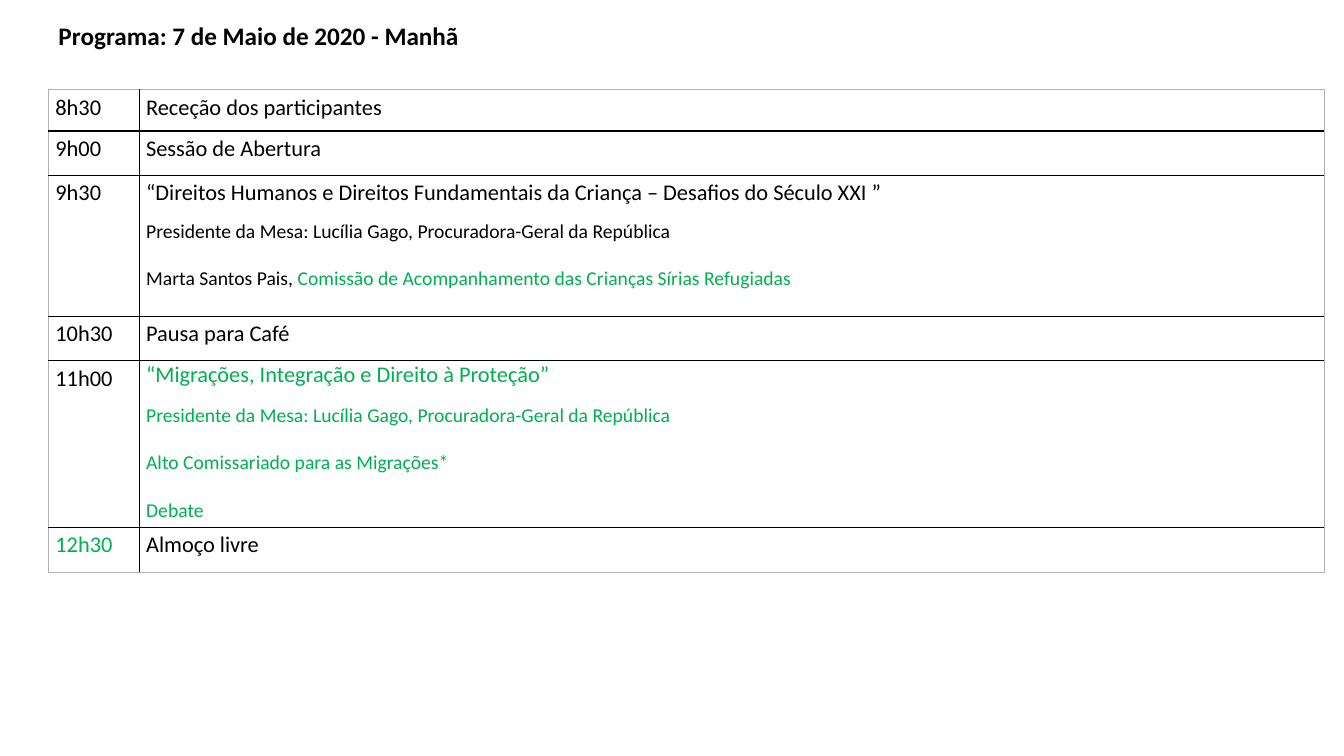
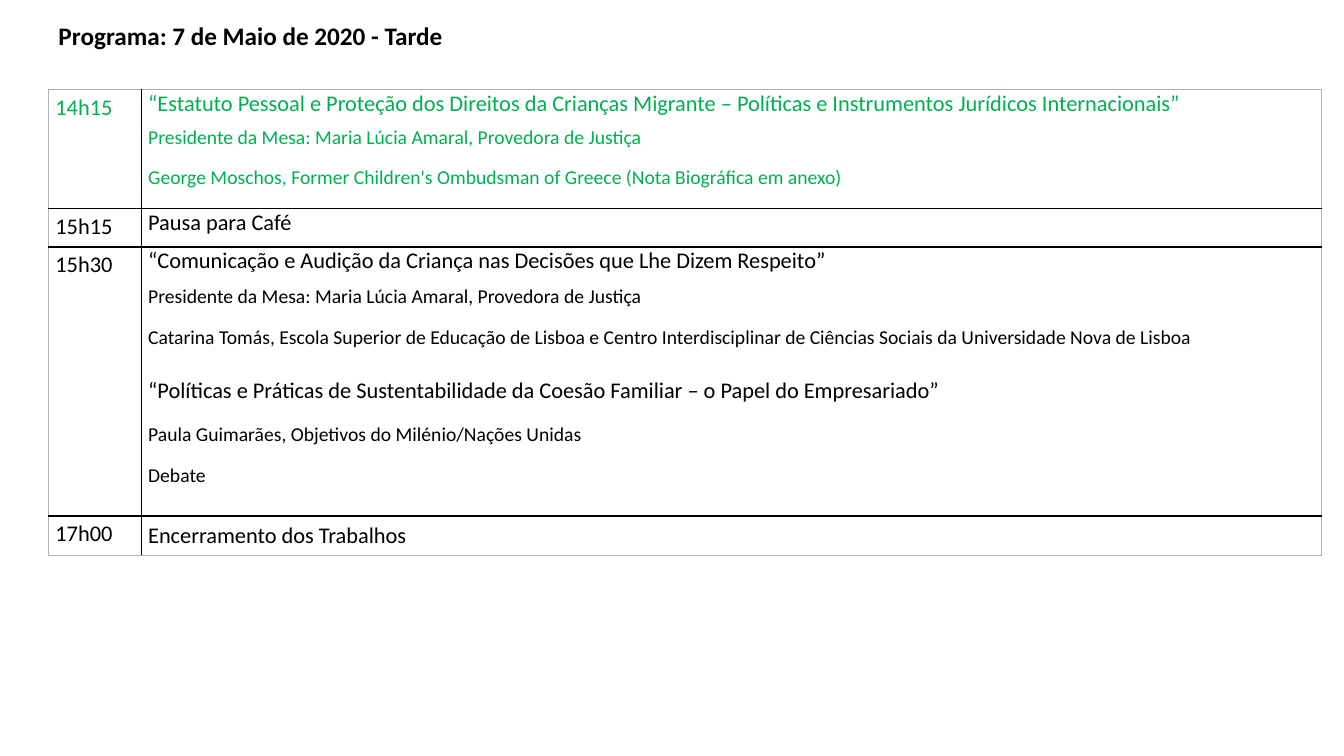
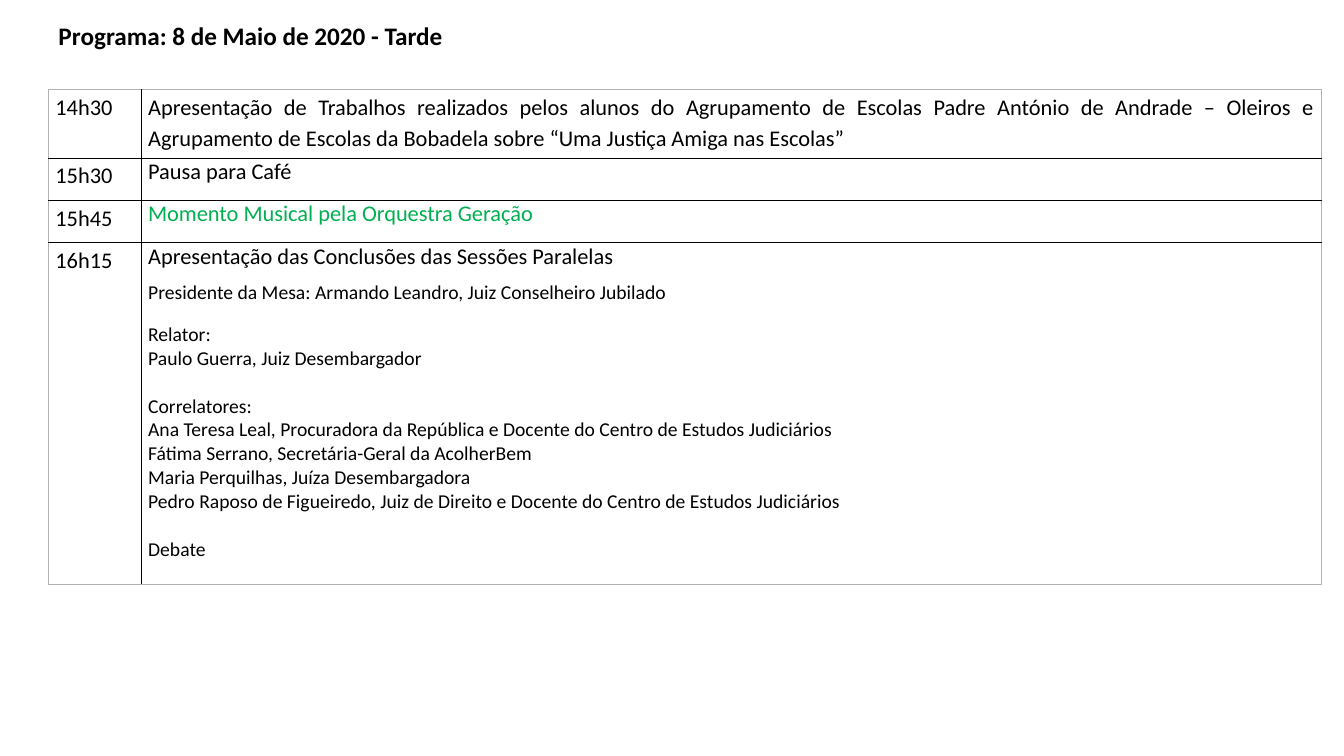
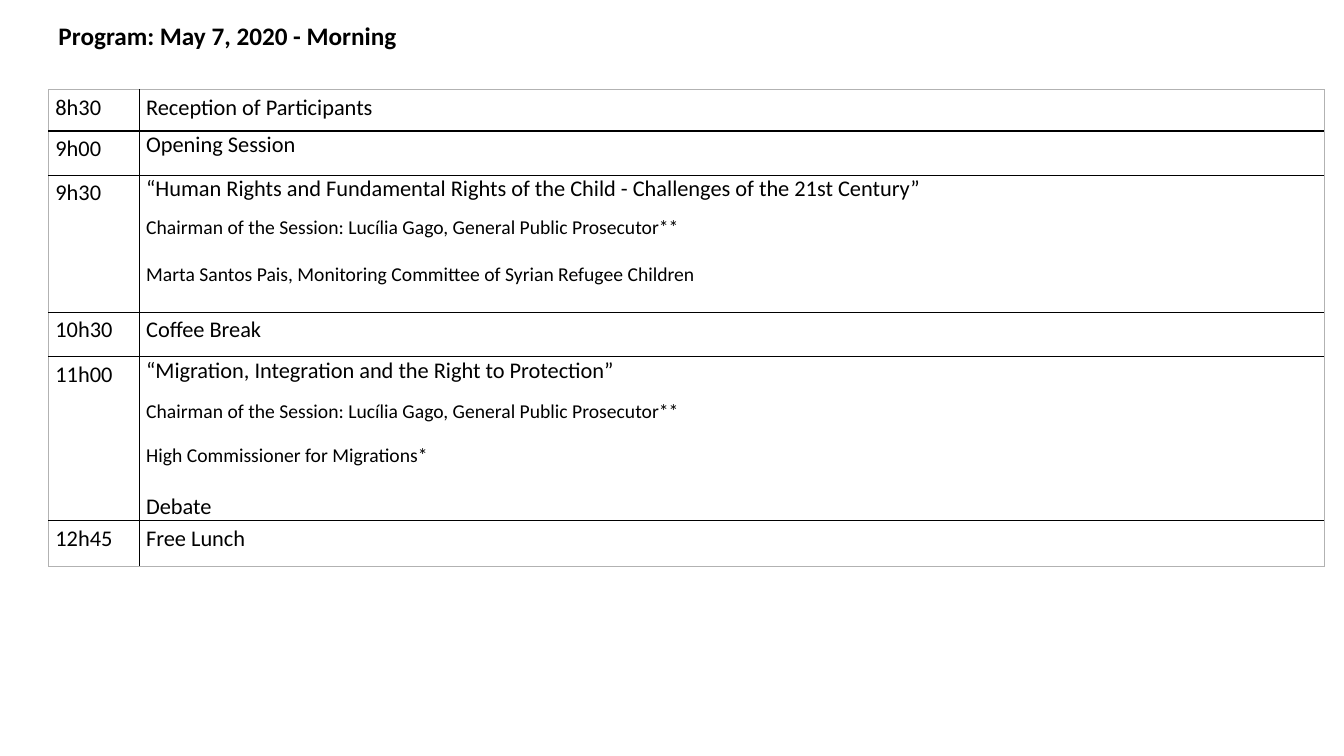
from dataclasses import dataclass

from lxml.etree import SubElement
from pptx import Presentation
from pptx.dml.color import RGBColor
from pptx.enum.text import MSO_ANCHOR, MSO_AUTO_SIZE, PP_ALIGN
from pptx.oxml.ns import qn
from pptx.util import Inches, Pt


@dataclass(frozen=True)
class Theme:
    font: str = "Calibri"
    ink: str = "000000"
    green: str = "00B050"
    paper: str = "FFFFFF"
    frame: str = "B2B2B2"
    title: float = 18
    topic: float = 16
    detail: float = 14
    rule: float = 1
    frame_rule: float = 0.5
    loose: float = 1.15


@dataclass(frozen=True)
class Box:
    left: float
    top: float
    width: float
    height: float = 0


@dataclass(frozen=True)
class Line:
    """One paragraph: gap is the space above it, loose means justified and wide-set."""
    text: str
    size: float
    gap: float = 0
    loose: bool = True
    color: str = Theme.ink
    green_tail: str = ""


@dataclass(frozen=True)
class Session:
    hour: str
    rows: int
    lines: tuple
    hour_color: str = Theme.ink
    anchor: MSO_ANCHOR = MSO_ANCHOR.TOP


THEME = Theme()
# The slide is a grid of 1333 columns and 750 rows
GRID_COLUMNS, GRID_ROWS = 1333, 750
SLIDE_WIDTH, SLIDE_HEIGHT = Inches(13.33), Inches(7.5)
TITLE_BOX = Box(48, 15, 700, 40)
CELL_INSET = 7


def across(columns):
    return round(SLIDE_WIDTH * columns / GRID_COLUMNS)


def down(rows):
    return round(SLIDE_HEIGHT * rows / GRID_ROWS)


def topic(text, gap=0, **style):
    return Line(text, THEME.topic, gap, **style)


def detail(text, gap=0, **style):
    return Line(text, THEME.detail, gap, **style)


def style_font(font, size, color, bold=False):
    font.name, font.size, font.bold = THEME.font, Pt(size), bold
    font.color.rgb = RGBColor.from_string(color)


def add_title(slide, text, box):
    title = slide.shapes.title
    title.left, title.top = across(box.left), down(box.top)
    title.width, title.height = across(box.width), down(box.height)
    frame = title.text_frame
    frame.text = text
    frame.auto_size = MSO_AUTO_SIZE.NONE
    frame.vertical_anchor = MSO_ANCHOR.TOP
    heading = frame.paragraphs[0]
    heading.alignment = PP_ALIGN.LEFT
    style_font(heading.font, THEME.title, THEME.ink, bold=True)


def draw_borders(cell, outer_sides):
    properties = cell._tc.get_or_add_tcPr()
    for side in "LRTB":
        outer = side in outer_sides
        width = THEME.frame_rule if outer else THEME.rule
        border = SubElement(properties, qn(f"a:ln{side}"), w=str(Pt(width)))
        fill = SubElement(border, qn("a:solidFill"))
        SubElement(fill, qn("a:srgbClr"), val=THEME.frame if outer else THEME.ink)


def write_line(paragraph, line):
    paragraph.alignment = PP_ALIGN.JUSTIFY if line.loose else PP_ALIGN.LEFT
    paragraph.line_spacing = THEME.loose if line.loose else 1.0
    paragraph.space_before = Pt(line.gap)
    style_font(paragraph.font, line.size, line.color)
    paragraph.add_run().text = line.text
    if line.green_tail:
        tail = paragraph.add_run()
        tail.text = line.green_tail
        tail.font.color.rgb = RGBColor.from_string(THEME.green)


def fill_cell(cell, lines, outer_sides, anchor=MSO_ANCHOR.TOP):
    cell.margin_left = cell.margin_right = across(CELL_INSET)
    cell.margin_top = cell.margin_bottom = 0
    cell.vertical_anchor = anchor
    draw_borders(cell, outer_sides)
    cell.fill.solid()
    cell.fill.fore_color.rgb = RGBColor.from_string(THEME.paper)
    frame = cell.text_frame
    for index, line in enumerate(lines):
        write_line(frame.add_paragraph() if index else frame.paragraphs[0], line)


def add_schedule(slide, sessions, box, hour_width):
    height = sum(session.rows for session in sessions)
    table = slide.shapes.add_table(
        len(sessions), 2, across(box.left), down(box.top),
        across(box.width), down(height)).table
    table.first_row = table.horz_banding = False
    table.columns[0].width = across(hour_width)
    table.columns[1].width = across(box.width - hour_width)
    for index, session in enumerate(sessions):
        table.rows[index].height = down(session.rows)
        ends = ("T" if index == 0 else "") + ("B" if index == len(sessions) - 1 else "")
        hour = topic(session.hour, color=session.hour_color)
        fill_cell(table.cell(index, 0), [hour], "L" + ends)
        fill_cell(table.cell(index, 1), session.lines, "R" + ends, session.anchor)


def add_programme(deck, title, sessions, box, hour_width):
    slide = deck.slides.add_slide(deck.slide_layouts[5])
    add_title(slide, title, TITLE_BOX)
    add_schedule(slide, sessions, box, hour_width)


MORNING = dict(box=Box(48, 89, 1265), hour_width=90)
AFTERNOON = dict(box=Box(48, 89, 1263), hour_width=92)
GREEN = dict(color=THEME.green)
TIGHT = dict(loose=False)

# Day one, morning
MORNING_PT = (
    Session("8h30", 41, (topic("Receção dos participantes"),)),
    Session("9h00", 44, (topic("Sessão de Abertura"),)),
    Session("9h30", 140, (
        topic("“Direitos Humanos e Direitos Fundamentais da Criança – Desafios do Século XXI ”"),
        detail("Presidente da Mesa: Lucília Gago, Procuradora-Geral da República", 7),
        detail("Marta Santos Pais, ", 14,
               green_tail="Comissão de Acompanhamento das Crianças Sírias Refugiadas"),
    )),
    Session("10h30", 44, (topic("Pausa para Café"),)),
    Session("11h00", 165, (
        topic("“Migrações, Integração e Direito à Proteção”", **GREEN, **TIGHT),
        detail("Presidente da Mesa: Lucília Gago, Procuradora-Geral da República", 8.5, **GREEN),
        detail("Alto Comissariado para as Migrações*", 14, **GREEN),
        detail("Debate", 14.5, **GREEN),
    )),
    Session("12h30", 45, (topic("Almoço livre"),), THEME.green),
)

# Day one, afternoon
AFTERNOON_ONE = (
    Session("14h15", 118, (
        topic("“Estatuto Pessoal e Proteção dos Direitos da Crianças Migrante – "
              "Políticas e Instrumentos Jurídicos Internacionais”", **GREEN, **TIGHT),
        detail("Presidente da Mesa: Maria Lúcia Amaral, Provedora de Justiça", 6,
               **GREEN, **TIGHT),
        detail("George Moschos, Former Children's Ombudsman of Greece "
               "(Nota Biográfica em anexo)", 12, **GREEN, **TIGHT),
    ), THEME.green),
    Session("15h15", 38, (topic("Pausa para Café", **TIGHT),)),
    Session("15h30", 267, (
        topic("“Comunicação e Audição da Criança nas Decisões que Lhe Dizem Respeito”", **TIGHT),
        detail("Presidente da Mesa: Maria Lúcia Amaral, Provedora de Justiça", 7.5, **TIGHT),
        detail("Catarina Tomás, Escola Superior de Educação de Lisboa e Centro Interdisciplinar "
               "de Ciências Sociais da Universidade Nova de Lisboa", 12.5, **TIGHT),
        topic("“Políticas e Práticas de Sustentabilidade da Coesão Familiar – "
              "o Papel do Empresariado”", 19.5, **TIGHT),
        detail("Paula Guimarães, Objetivos do Milénio/Nações Unidas", 13, **TIGHT),
        detail("Debate", 12.5, **TIGHT),
    )),
    Session("17h00", 39, (topic("Encerramento dos Trabalhos", **TIGHT),),
            anchor=MSO_ANCHOR.MIDDLE),
)

# Day two, afternoon
AFTERNOON_TWO = (
    Session("14h30", 68, (
        topic("Apresentação de Trabalhos realizados pelos alunos do Agrupamento de Escolas "
              "Padre António de Andrade – Oleiros e Agrupamento de Escolas da Bobadela "
              "sobre “Uma Justiça Amiga nas Escolas”"),
    )),
    Session("15h30", 42, (topic("Pausa para Café", **TIGHT),)),
    Session("15h45", 42, (topic("Momento Musical pela Orquestra Geração", **GREEN, **TIGHT),)),
    Session("16h15", 339, (
        topic("Apresentação das Conclusões das Sessões Paralelas", **TIGHT),
        detail("Presidente da Mesa: Armando Leandro, Juiz Conselheiro Jubilado", 7.5, **TIGHT),
        detail("Relator:", 13, **TIGHT),
        detail("Paulo Guerra, Juiz Desembargador", **TIGHT),
        detail("Correlatores:", 17, **TIGHT),
        detail("Ana Teresa Leal, Procuradora da República e Docente do "
               "Centro de Estudos Judiciários", **TIGHT),
        detail("Fátima Serrano, Secretária-Geral da AcolherBem", **TIGHT),
        detail("Maria Perquilhas, Juíza Desembargadora", **TIGHT),
        detail("Pedro Raposo de Figueiredo, Juiz de Direito e Docente do "
               "Centro de Estudos Judiciários", **TIGHT),
        detail("Debate", 17, **TIGHT),
    )),
)

# Day one, morning, in English
MORNING_EN = (
    Session("8h30", 41, (topic("Reception of Participants"),)),
    Session("9h00", 44, (topic("Opening Session", **TIGHT),)),
    Session("9h30", 136, (
        topic("“Human Rights and Fundamental Rights of the Child - "
              "Challenges of the 21st Century”", **TIGHT),
        detail("Chairman of the Session: Lucília Gago, General Public Prosecutor**", 7),
        detail("Marta Santos Pais, Monitoring Committee of Syrian Refugee Children", 14),
    )),
    Session("10h30", 44, (topic("Coffee Break"),)),
    Session("11h00", 160, (
        topic("“Migration, Integration and the Right to Protection”", **TIGHT),
        detail("Chairman of the Session: Lucília Gago, General Public Prosecutor**", 8.5),
        detail("High Commissioner for Migrations*", 14.5, **TIGHT),
        topic("Debate", 15.5),
    )),
    Session("12h45", 45, (topic("Free Lunch"),)),
)

deck = Presentation()
deck.slide_width, deck.slide_height = SLIDE_WIDTH, SLIDE_HEIGHT
add_programme(deck, "Programa: 7 de Maio de 2020 - Manhã", MORNING_PT, **MORNING)
add_programme(deck, "Programa: 7 de Maio de 2020 - Tarde", AFTERNOON_ONE, **AFTERNOON)
add_programme(deck, "Programa: 8 de Maio de 2020 - Tarde", AFTERNOON_TWO, **AFTERNOON)
add_programme(deck, "Program: May 7, 2020 - Morning", MORNING_EN, **MORNING)
deck.save("out.pptx")
